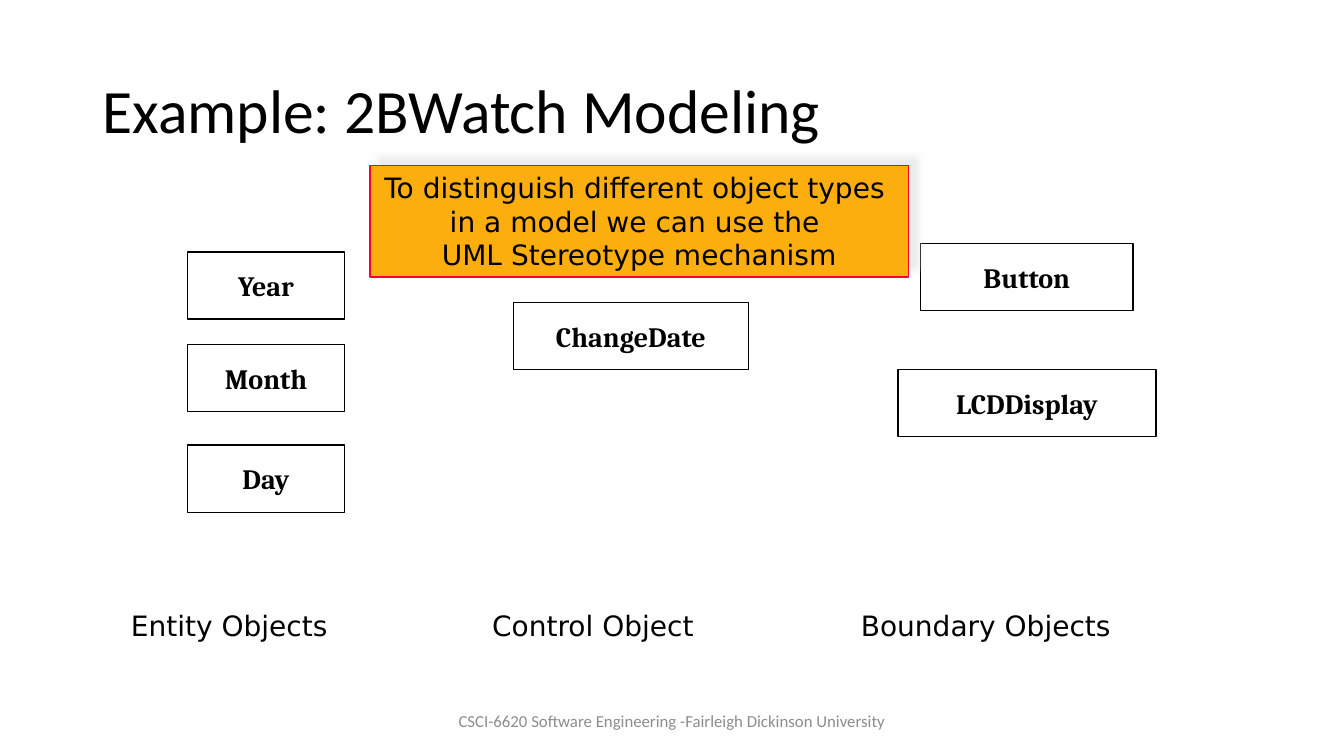
from lxml import etree
from pptx import Presentation, util as u
from pptx.dml.color import RGBColor
from pptx.enum import shapes, text
from pptx.oxml import ns

BLACK = RGBColor(0x00, 0x00, 0x00)
WHITE = RGBColor(0xFF, 0xFF, 0xFF)
GREY = RGBColor(0x8C, 0x8C, 0x8C)
ORANGE = RGBColor(0xFC, 0xAE, 0x0F)
RED = RGBColor(0xFC, 0x01, 0x28)
SHADOW = RGBColor(0xE7, 0xE6, 0xE6)

LEFT, CENTER = text.PP_ALIGN.LEFT, text.PP_ALIGN.CENTER
TOP, MIDDLE = text.MSO_ANCHOR.TOP, text.MSO_ANCHOR.MIDDLE


class ObjectModelSlide:
    """Draws a class-model slide on a grid of 160 columns by 90 rows."""

    heading_font, class_font, label_font = "Calibri", "Cambria", "DejaVu Sans"
    columns, rows = 160, 90
    class_height, label_height = 8, 5.28

    def __init__(self, deck):
        self.column = deck.slide_width / self.columns
        self.row = deck.slide_height / self.rows
        self.page = deck.slides.add_slide(deck.slide_layouts[5])

    def area(self, left, top, width, height):
        return [u.Emu(round(length)) for length in (
            left * self.column, top * self.row,
            width * self.column, height * self.row)]

    def set_text(self, box, lines, font, size, color=BLACK, bold=False,
                 align=LEFT, anchor=TOP, wrap=False, grow=False):
        frame = box.text_frame
        frame.text = lines
        frame.word_wrap = wrap
        frame.vertical_anchor = anchor
        frame.auto_size = (text.MSO_AUTO_SIZE.SHAPE_TO_FIT_TEXT if grow
                           else text.MSO_AUTO_SIZE.NONE)
        for para in frame.paragraphs:
            para.alignment = align
            para.font.name = font
            para.font.size = u.Pt(size)
            para.font.bold = bold
            para.font.color.rgb = color

    def title(self, words, *place):
        box = self.page.shapes.title
        box.left, box.top, box.width, box.height = self.area(*place)
        self.set_text(box, words, self.heading_font, 44, anchor=MIDDLE, wrap=True)
        box.text_frame.paragraphs[0].line_spacing = 0.9

    def rectangle(self, place, fill, line):
        box = self.page.shapes.add_shape(
            shapes.MSO_SHAPE.RECTANGLE, *self.area(*place))
        box.shadow.inherit = False
        box.fill.solid()
        box.fill.fore_color.rgb = fill
        box.line.color.rgb = line
        box.line.width = u.Pt(1)
        return box

    def class_box(self, name, left, top, width):
        box = self.rectangle((left, top, width, self.class_height), WHITE, BLACK)
        self.set_text(box, name, self.class_font, 20, bold=True,
                      align=CENTER, anchor=MIDDLE)

    def label(self, words, left, top, width):
        box = self.page.shapes.add_textbox(
            *self.area(left, top, width, self.label_height))
        self.set_text(box, words, self.label_font, 20, grow=True)

    def note(self, lines, *place):
        box = self.rectangle(place, ORANGE, RED)
        effects = box._element.spPr.find(ns.qn("a:effectLst"))
        shadow = etree.SubElement(
            effects, ns.qn("a:outerShdw"), blurRad=str(u.Pt(5)),
            dist=str(u.Pt(8.5)), dir=str(315 * 60000), rotWithShape="0")
        tint = etree.SubElement(shadow, ns.qn("a:srgbClr"), val=str(SHADOW))
        etree.SubElement(tint, ns.qn("a:alpha"), val="75000")
        self.set_text(box, lines, self.label_font, 20, align=CENTER, grow=True)

    def footer(self, words, *place):
        box = self.page.shapes.add_textbox(*self.area(*place))
        self.set_text(box, words, self.heading_font, 12, GREY,
                      align=CENTER, anchor=MIDDLE, wrap=True)


def main():
    deck = Presentation()
    deck.slide_width, deck.slide_height = u.Inches(13.33), u.Inches(7.5)
    slide = ObjectModelSlide(deck)
    slide.title("Example: 2BWatch Modeling", 11, 4.8, 138, 17.4)

    for name, top in (("Year", 30), ("Month", 41), ("Day", 53)):
        slide.class_box(name, 22.3, top, 18.75)
    slide.class_box("ChangeDate", 61.1, 36, 28)
    slide.class_box("Button", 109.6, 29, 25.3)
    slide.class_box("LCDDisplay", 106.9, 44, 30.7)

    for words, left, width in (("Entity Objects", 14.4, 26.2),
                               ("Control Object", 57.4, 26.9),
                               ("Boundary Objects", 101.3, 32.5)):
        slide.label(words, left, 71.8, width)

    slide.note("To distinguish different object types \n"
               "in a model we can use the \n"
               "UML Stereotype mechanism", 44.05, 19.7, 64.1, 13.3)
    slide.footer("CSCI-6620 Software Engineering -Fairleigh Dickinson University",
                 53, 83.4, 54, 4.8)
    deck.save("out.pptx")


if __name__ == "__main__":
    main()
